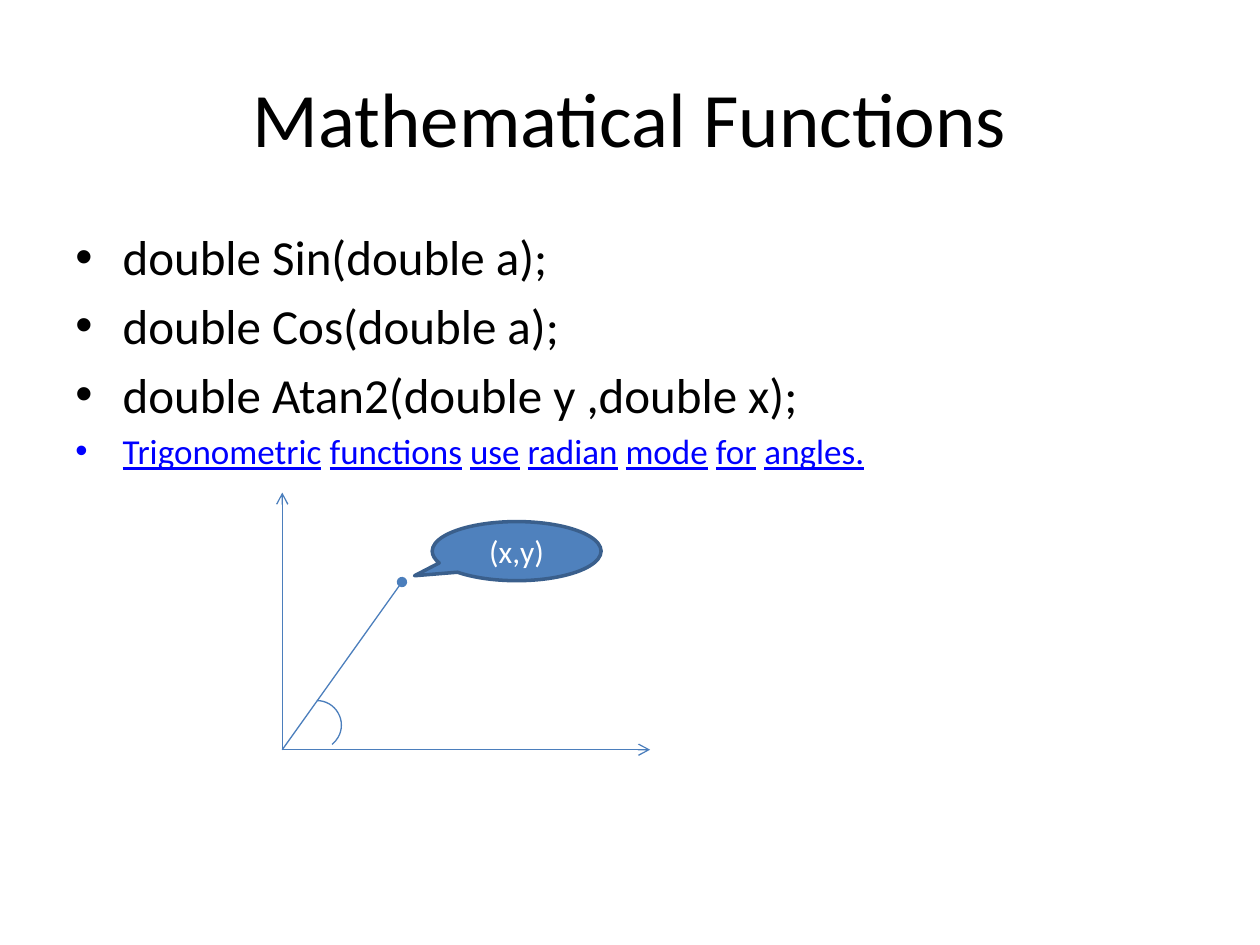
"""Builds a slide on trigonometric functions with a sketch of an angle."""
import pptx
import pptx.util
import pptx.dml.color
import pptx.enum.shapes
import pptx.enum.text
import pptx.oxml
import pptx.oxml.ns

Pt = pptx.util.Pt
KIND = pptx.enum.shapes.MSO_SHAPE
ALIGN = pptx.enum.text.PP_ALIGN
MIDDLE = pptx.enum.text.MSO_ANCHOR.MIDDLE
NS = pptx.oxml.ns.nsdecls("a")
BLACK, BLUE, WHITE = "000000", "0000FF", "FFFFFF"
STROKE, FILL, EDGE = "4B7EBC", "4F81BD", "3A5F8C"
CODE = ["double Sin(double a);", "double Cos(double a);", "double Atan2(double y ,double x);"]
NOTE = "Trigonometric functions use radian mode for angles."


def color(code):
    """Return the colour for a hex string."""
    return pptx.dml.color.RGBColor.from_string(code)


def add_node(root, tag, body=""):
    """Append one drawing element, with its attributes or content."""
    root.append(pptx.oxml.parse_xml(f"<a:{tag} {NS} {body}"))


def add_run(para, text, size, code, **style):
    """Add a run in the slide font with the given style."""
    run = para.add_run()
    run.text = text
    form = {"name": "Calibri", "size": Pt(size), **style}
    for key, value in form.items():
        setattr(run.font, key, value)
    run.font.color.rgb = color(code)


def add_box(slide, left, top, width, height):
    """Add a wrapping text box and return its text frame."""
    frame = slide.shapes.add_textbox(Pt(left), Pt(top), Pt(width), Pt(height)).text_frame
    frame.word_wrap = True
    return frame


def add_bullet(para):
    """Give a paragraph a hanging bullet and relative space before it."""
    props = para._p.get_or_add_pPr()
    for key, value in {"marL": Pt(27), "indent": Pt(-27)}.items():
        props.set(key, str(int(value)))
    add_node(props, "spcBef", '><a:spcPct val="20000"/></a:spcBef>')
    add_node(props, "buFont", 'typeface="Arial"/>')
    add_node(props, "buChar", 'char="•"/>')


def add_title(slide, text):
    """Add the centred slide title."""
    frame = add_box(slide, 36, 21.6, 648, 90)
    frame.vertical_anchor = MIDDLE
    para = frame.paragraphs[0]
    para.alignment = ALIGN.CENTER
    add_run(para, text, 44, BLACK)


def add_list(slide, lines, note):
    """Add the bulleted code lines and the note with underlined words."""
    frame = add_box(slide, 36, 126, 648, 356.4)
    for count, text in enumerate(lines + [note]):
        para = frame.add_paragraph() if count else frame.paragraphs[0]
        add_bullet(para)
        if text != note:
            add_run(para, text, 28, BLACK)
            continue
        for place, word in enumerate(text.split()):
            if place:
                add_run(para, " ", 20, BLACK)
            add_run(para, word, 20, BLUE, underline=True)


def add_ray(slide, start, end, tip):
    """Draw a straight line that ends in the given tip."""
    ray = slide.shapes.add_connector(
        pptx.enum.shapes.MSO_CONNECTOR.STRAIGHT, *map(Pt, start + end))
    ray.line.color.rgb = color(STROKE)
    ray.line.width = Pt(0.75)
    add_node(ray.line._get_or_add_ln(), "tailEnd", f'type="{tip}"/>')
    add_node(ray._element.spPr, "effectLst", "/>")


def add_form(slide, kind, place, turns, fill, edge, width):
    """Add a preset shape with its adjustments, fill and outline."""
    form = slide.shapes.add_shape(kind, *map(Pt, place))
    form.shadow.inherit = False
    for count, value in enumerate(turns):
        form.adjustments[count] = value
    if fill:
        form.fill.solid()
        form.fill.fore_color.rgb = color(fill)
    else:
        form.fill.background()
    form.line.color.rgb = color(edge)
    form.line.width = Pt(width)
    return form


def add_label(form, text):
    """Centre a white label in a shape."""
    frame = form.text_frame
    frame.vertical_anchor = MIDDLE
    para = frame.paragraphs[0]
    para.alignment = ALIGN.CENTER
    add_run(para, text, 18, WHITE)


def main():
    """Build and save the slide."""
    deck = pptx.Presentation()
    deck.slide_width, deck.slide_height = Pt(720), Pt(540)
    slide = deck.slides.add_slide(deck.slide_layouts[6])
    add_title(slide, "Mathematical Functions")
    add_list(slide, CODE, NOTE)
    zero = (161.3, 428.4)
    for end, tip in [((371.5, 428.4), "arrow"), ((161.3, 281.5), "arrow"),
                     ((229.7, 332.6), "oval")]:
        add_ray(slide, zero, end, tip)
    add_form(slide, KIND.ARC, (167, 400.3, 28.1, 28.1), (162, 30.9), None, STROKE, 0.75)
    bubble = add_form(slide, KIND.OVAL_CALLOUT, (247, 298.1, 96.5, 33.8),
                      (-0.605, 0.416), FILL, EDGE, 2)
    add_label(bubble, "(x,y)")
    deck.save("out.pptx")


if __name__ == "__main__":
    main()
